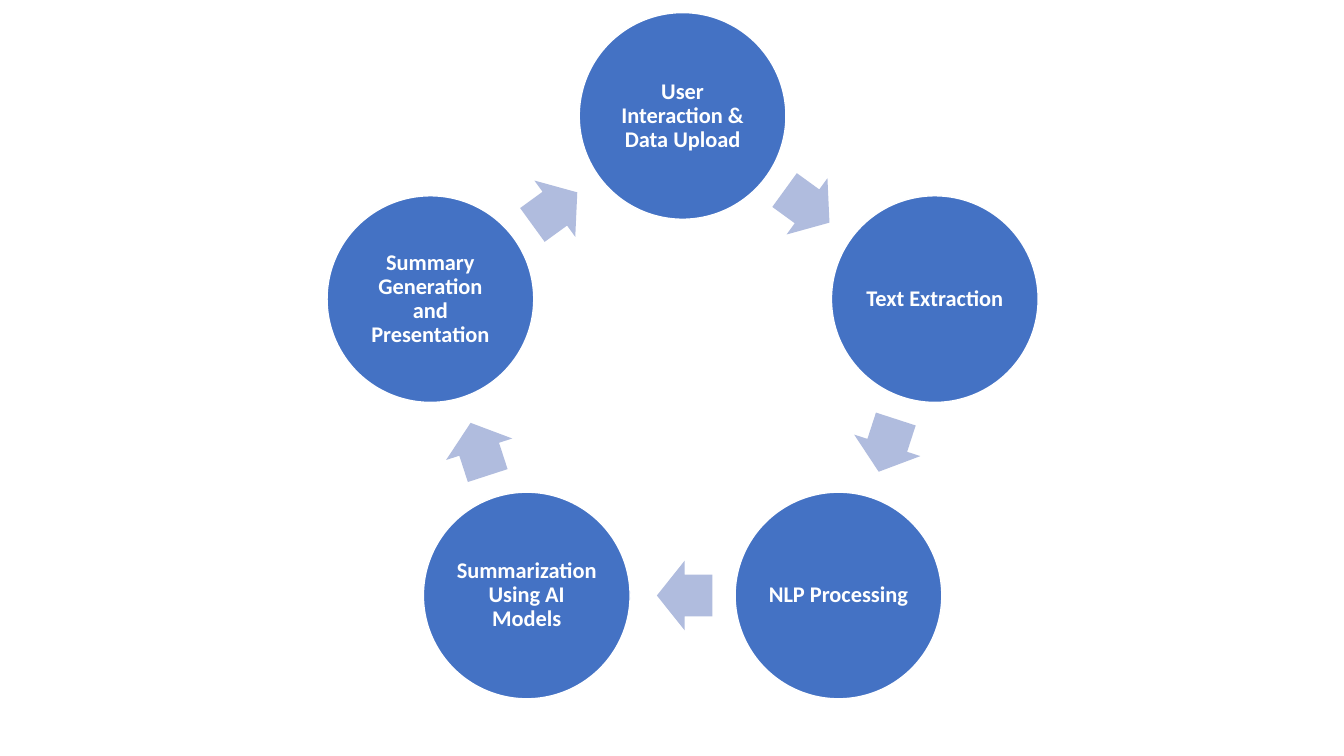
import math
import pptx
import pptx.dml.color
import pptx.enum.shapes
import pptx.enum.text
import pptx.util

Inches = pptx.util.Inches
Pt = pptx.util.Pt
SHAPE = pptx.enum.shapes.MSO_SHAPE

BLUE = pptx.dml.color.RGBColor(0x44, 0x72, 0xC4)
PALE_BLUE = pptx.dml.color.RGBColor(0xB0, 0xBC, 0xDE)
WHITE = pptx.dml.color.RGBColor(0xFF, 0xFF, 0xFF)

STEPS = [
    "User Interaction & Data Upload",
    "Text Extraction",
    "NLP Processing",
    "Summarization Using AI Models",
    "Summary Generation and Presentation",
]
CENTER_X, CENTER_Y, RING_RADIUS = 6.77, 3.78, 2.63
CIRCLE_SIZE = 2.05
ARROW_WIDTH, ARROW_HEIGHT = 0.55, 0.69
ARROW_SETBACK = 0.02
STEP_ANGLE = 360 / len(STEPS)
ARROW_RADIUS = RING_RADIUS * math.cos(math.radians(STEP_ANGLE / 2))

deck = pptx.Presentation()
deck.slide_width = Inches(13.33)
deck.slide_height = Inches(7.5)
page = deck.slides.add_slide(deck.slide_layouts.get_by_name("Blank"))


def add_centered(kind, x, y, width, height, color):
    shape = page.shapes.add_shape(
        kind, Inches(x - width / 2), Inches(y - height / 2), Inches(width), Inches(height)
    )
    shape.shadow.inherit = False
    shape.fill.solid()
    shape.fill.fore_color.rgb = color
    return shape


for index, step in enumerate(STEPS):
    angle = math.radians(index * STEP_ANGLE)
    circle = add_centered(
        SHAPE.OVAL,
        CENTER_X + RING_RADIUS * math.sin(angle),
        CENTER_Y - RING_RADIUS * math.cos(angle),
        CIRCLE_SIZE, CIRCLE_SIZE, BLUE,
    )
    circle.line.color.rgb = WHITE
    circle.line.width = Pt(1)
    frame = circle.text_frame
    frame.word_wrap = True
    frame.vertical_anchor = pptx.enum.text.MSO_ANCHOR.MIDDLE
    frame.margin_left = frame.margin_right = Inches(0.02)
    frame.margin_top = frame.margin_bottom = Inches(0.02)
    para = frame.paragraphs[0]
    para.alignment = pptx.enum.text.PP_ALIGN.CENTER
    para.line_spacing = 0.9
    span = para.add_run()
    span.text = step
    span.font.name = "Calibri"
    span.font.size = Pt(16)
    span.font.bold = True
    span.font.color.rgb = WHITE

    rotation = (index + 0.5) * STEP_ANGLE
    heading = math.radians(rotation)
    arrow = add_centered(
        SHAPE.RIGHT_ARROW,
        CENTER_X + ARROW_RADIUS * math.sin(heading) - ARROW_SETBACK * math.cos(heading),
        CENTER_Y - ARROW_RADIUS * math.cos(heading) - ARROW_SETBACK * math.sin(heading),
        ARROW_WIDTH, ARROW_HEIGHT, PALE_BLUE,
    )
    arrow.line.fill.background()
    arrow.rotation = rotation
    arrow.adjustments[0] = 0.6
    arrow.adjustments[1] = 0.5

deck.save("out.pptx")
